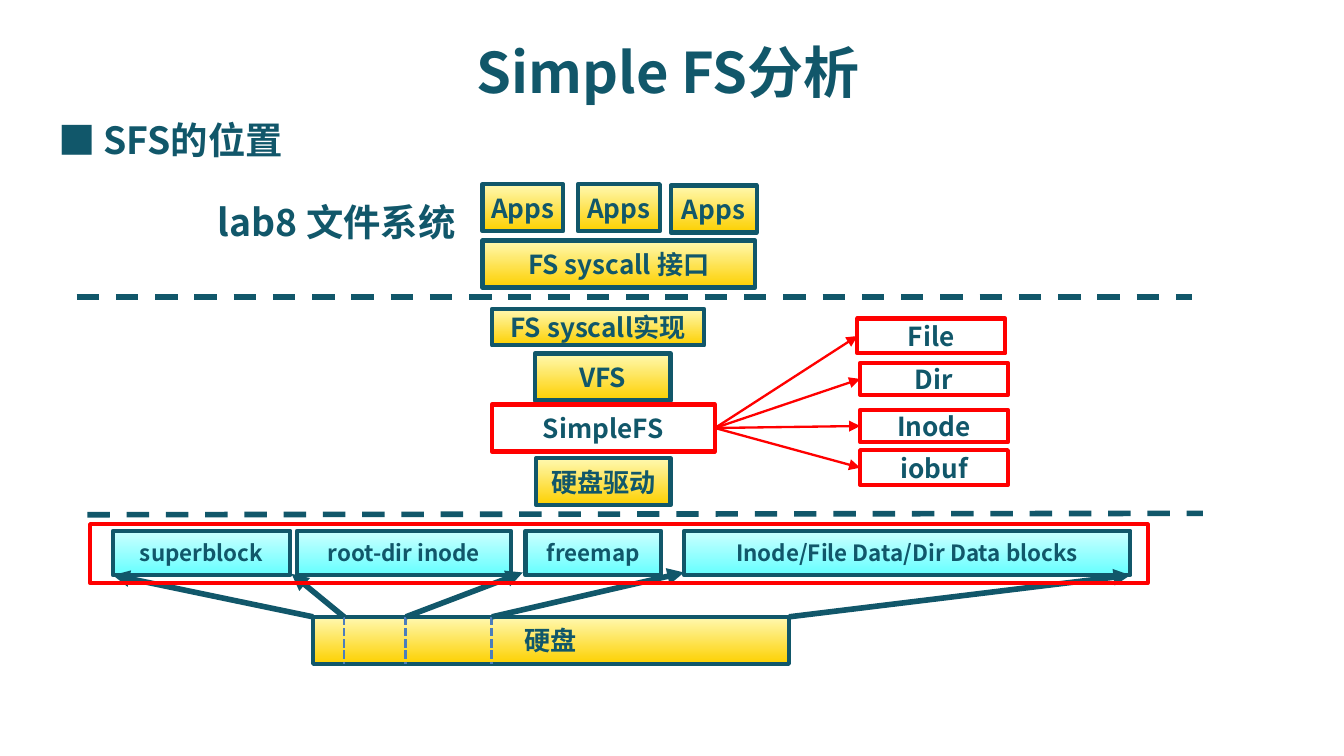
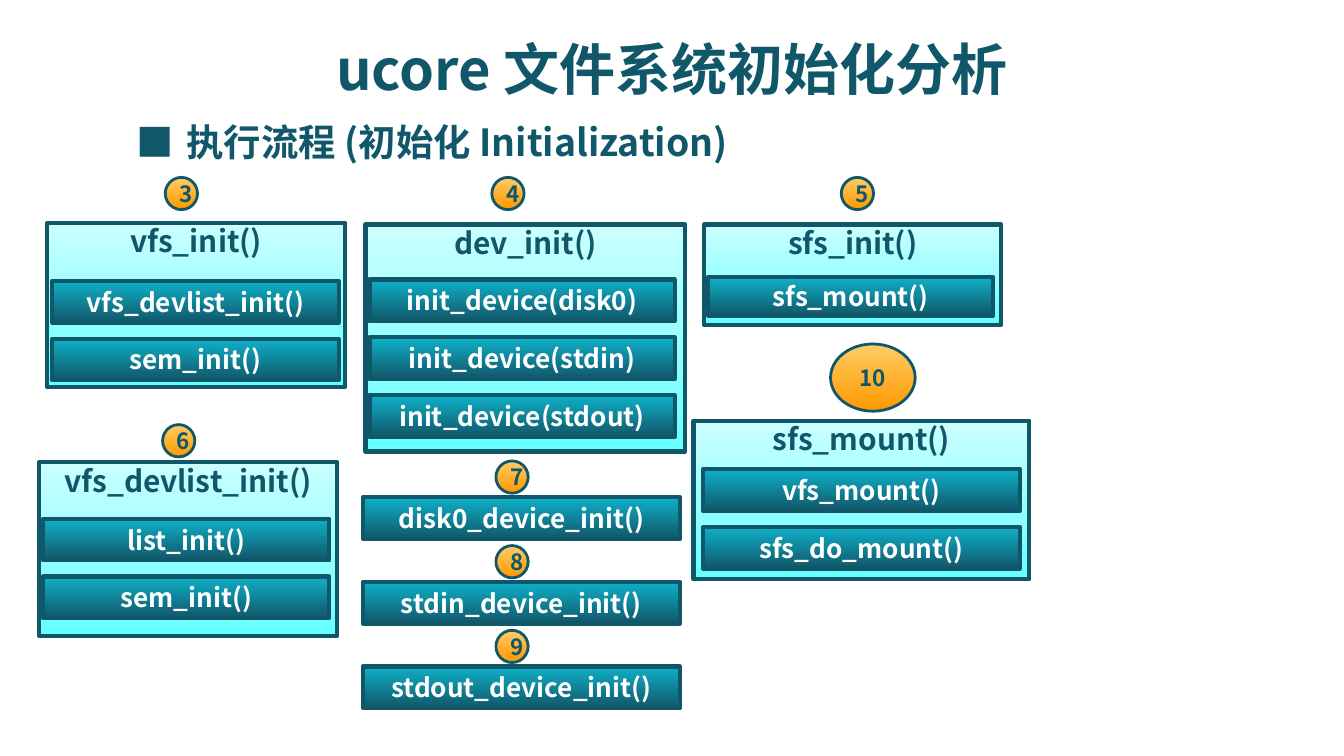
from dataclasses import dataclass

from pptx import Presentation
from pptx import util as u
from pptx.dml.color import RGBColor
from pptx.enum import dml, shapes, text
from pptx.oxml.ns import qn
from lxml import etree

PX = 9144  # EMU per px, 100 px to the inch


@dataclass(frozen=True)
class Theme:
    font: str = "Noto Sans CJK SC"
    bullet_font: str = "Noto Sans CJK JP"
    ink: str = "11576A"
    white: str = "FFFFFF"
    red: str = "FF0000"
    partition: str = "4B7EBC"
    yellow: tuple = ("FFF9B1", "FDD000")
    cyan: tuple = ("CCFFFF", "66FFFF")
    teal: tuple = ("0EB1C8", "11576A")
    orange: tuple = ("FFCC66", "FF9900")
    title: int = 30
    heading: int = 20
    panel: int = 16
    label: int = 14
    small: int = 12


T = Theme()
MIDDLE, TOP = text.MSO_ANCHOR.MIDDLE, text.MSO_ANCHOR.TOP
CENTER, LEFT = text.PP_ALIGN.CENTER, text.PP_ALIGN.LEFT
RECT, OVAL = shapes.MSO_SHAPE.RECTANGLE, shapes.MSO_SHAPE.OVAL


def write(frame, words, size, color=T.ink, font=T.font, align=CENTER, anchor=MIDDLE, wrap=True):
    frame.text = words
    frame.word_wrap = wrap
    frame.auto_size = text.MSO_AUTO_SIZE.NONE
    frame.vertical_anchor = anchor
    if anchor == TOP:
        frame.margin_top = 0
    paragraph = frame.paragraphs[0]
    paragraph.alignment = align
    style = paragraph.font
    style.size, style.bold, style.name = u.Pt(size), True, font
    style.color.rgb = RGBColor.from_string(color)
    props = paragraph._p.pPr.find(qn("a:defRPr"))
    east_asian = etree.Element(qn("a:ea"), typeface=font)
    props.find(qn("a:latin")).addnext(east_asian)


def block(slide, place, words, fill, size=T.label, kind=RECT, line=T.ink, weight=2.25, **style):
    shape = slide.shapes.add_shape(kind, *(v * PX for v in place))
    shape.shadow.inherit = False
    shape.line.color.rgb = RGBColor.from_string(line)
    shape.line.width = u.Pt(weight)
    if fill is None:
        shape.fill.background()
    elif isinstance(fill, tuple):
        shape.fill.gradient()
        shape.fill.gradient_angle = 270
        for stop, color in zip(shape.fill.gradient_stops, fill):
            stop.color.rgb = RGBColor.from_string(color)
    else:
        shape.fill.solid()
        shape.fill.fore_color.rgb = RGBColor.from_string(fill)
    if words:
        write(shape.text_frame, words, size, **style)
    return shape


prs = Presentation()
prs.slide_width, prs.slide_height = 1000 * PX, 1000 * PX * 9 // 16

# Titles and headings of both slides
pages = []
for title, title_place, captions in [
    ("Simple FS分析", (47, 25, 900, 56), [
        ("SFS的位置", (67, 87, 359, 47), T.font),
        ("■", (34, 87, 47, 44), T.bullet_font),
        ("lab8 文件系统", (152, 148, 208, 45), T.font)]),
    ("ucore 文件系统初始化分析", (50, 23, 900, 56), [
        ("执行流程 (初始化 Initialization)", (129, 89, 497, 36), T.font),
        ("■", (92, 89, 47, 44), T.bullet_font)]),
]:
    page = prs.slides.add_slide(prs.slide_layouts[5])
    heading = page.shapes.title
    heading.left, heading.top, heading.width, heading.height = (v * PX for v in title_place)
    write(heading.text_frame, title, T.title)
    for words, place, font in captions:
        caption = page.shapes.add_textbox(*(v * PX for v in place))
        write(caption.text_frame, words, T.heading, font=font, align=LEFT, anchor=TOP)
    pages.append(page)
position, startup = pages

# Slide 1: software layers
for words, place in [
    ("Apps", (359, 137, 60, 35)),
    ("Apps", (430, 137, 61, 35)),
    ("Apps", (499, 138, 64, 35)),
    ("FS syscall 接口", (359, 179, 203, 35)),
    ("FS syscall实现", (366, 230, 158, 27)),
    ("VFS", (398, 263, 101, 35)),
    ("硬盘驱动", (399, 341, 100, 35)),
    ("硬盘", (233, 459, 354, 35)),
]:
    block(position, place, words, T.yellow, wrap=False)
simple_fs = block(position, (366, 301, 166, 35), "SimpleFS", T.white, line=T.red, wrap=False)

# Disk layout
for words, left, width in [
    ("superblock", 84, 132),
    ("root-dir inode", 221, 159),
    ("freemap", 391, 101),
    ("Inode/File Data/Dir Data blocks", 509, 332),
]:
    block(position, (left, 395, width, 33), words, T.cyan, T.small)

# Lines: ends, colour, weight, dash, arrow, target
DASH, FINE = dml.MSO_LINE.DASH, dml.MSO_LINE.SQUARE_DOT
links = [((57, 221, 887, 221), T.ink, 3, DASH, False, None),
         ((65, 383, 895, 382), T.ink, 3, DASH, False, None)]
for x in (256, 302, 366):
    links.append(((x, 459, x, 494), T.partition, 1.5, FINE, False, None))
for start, end, bottom in [(233, 84, 428), (256, 217, 427), (302, 389, 426),
                           (366, 509, 426), (587, 841, 428)]:
    links.append(((start, 459, end, bottom), T.ink, 3, None, True, None))
for words, left, top, height in [("File", 638, 237, 26), ("Dir", 640, 270, 24),
                                 ("Inode", 640, 305, 24), ("iobuf", 640, 335, 26)]:
    part = block(position, (left, top, 110, height), words, T.white, line=T.red, wrap=False)
    links.append(((532, 318, left, top + height // 2), T.red, 1.25, None, True, part))

for ends, color, weight, dash, arrow, target in links:
    link = position.shapes.add_connector(shapes.MSO_CONNECTOR.STRAIGHT, *(v * PX for v in ends))
    if target is not None:
        link.begin_connect(simple_fs, 3)
        link.end_connect(target, 1)
    link.line.color.rgb = RGBColor.from_string(color)
    link.line.width = u.Pt(weight)
    if dash:
        link.line.dash_style = dash
    props = link._element.spPr
    if arrow:
        etree.SubElement(props.find(qn("a:ln")), qn("a:tailEnd"), type="triangle")
    etree.SubElement(props, qn("a:effectLst"))

# Frame round the disk layout
block(position, (67, 390, 787, 44), "", None, line=T.red, weight=2)

# Slide 2: functions and the calls inside them
CALL_STEP = 43
for function, place, (left, top, width, height), calls in [
    ("vfs_init()", (35, 166, 222, 122), (39, 209, 213, 31),
     ["vfs_devlist_init()", "sem_init()"]),
    ("dev_init()", (272, 167, 238, 169), (275, 208, 227, 31),
     ["init_device(disk0)", "init_device(stdin)", "init_device(stdout)"]),
    ("sfs_init()", (524, 167, 221, 75), (527, 206, 212, 29),
     ["sfs_mount()"]),
    ("vfs_devlist_init()", (29, 344, 222, 129), (32, 386, 213, 31),
     ["list_init()", "sem_init()"]),
    ("sfs_mount()", (516, 313, 250, 118), (523, 349, 236, 31),
     ["vfs_mount()", "sfs_do_mount()"]),
]:
    block(startup, place, function, T.cyan, T.panel, anchor=TOP)
    for i, call in enumerate(calls):
        block(startup, (left, top + i * CALL_STEP, width, height), call, T.teal,
              color=T.white, wrap=False)

# Device functions, each under its step number
DEVICE_STEP = 63
steps = [("3", 123, 132, 24, 24), ("4", 366, 132, 24, 24), ("5", 626, 132, 24, 24),
         ("6", 121, 316, 24, 24), ("10", 618, 256, 63, 50)]
for i, device in enumerate(["disk0", "stdin", "stdout"]):
    block(startup, (270, 370 + i * DEVICE_STEP, 236, 31), f"{device}_device_init()", T.teal,
          color=T.white, wrap=False)
    steps.append((str(7 + i), 369, 343 + i * DEVICE_STEP, 24, 24))

# Step numbers
for number, *place in steps:
    block(startup, place, number, T.orange, T.small, kind=OVAL, weight=1.5)

prs.save("out.pptx")
